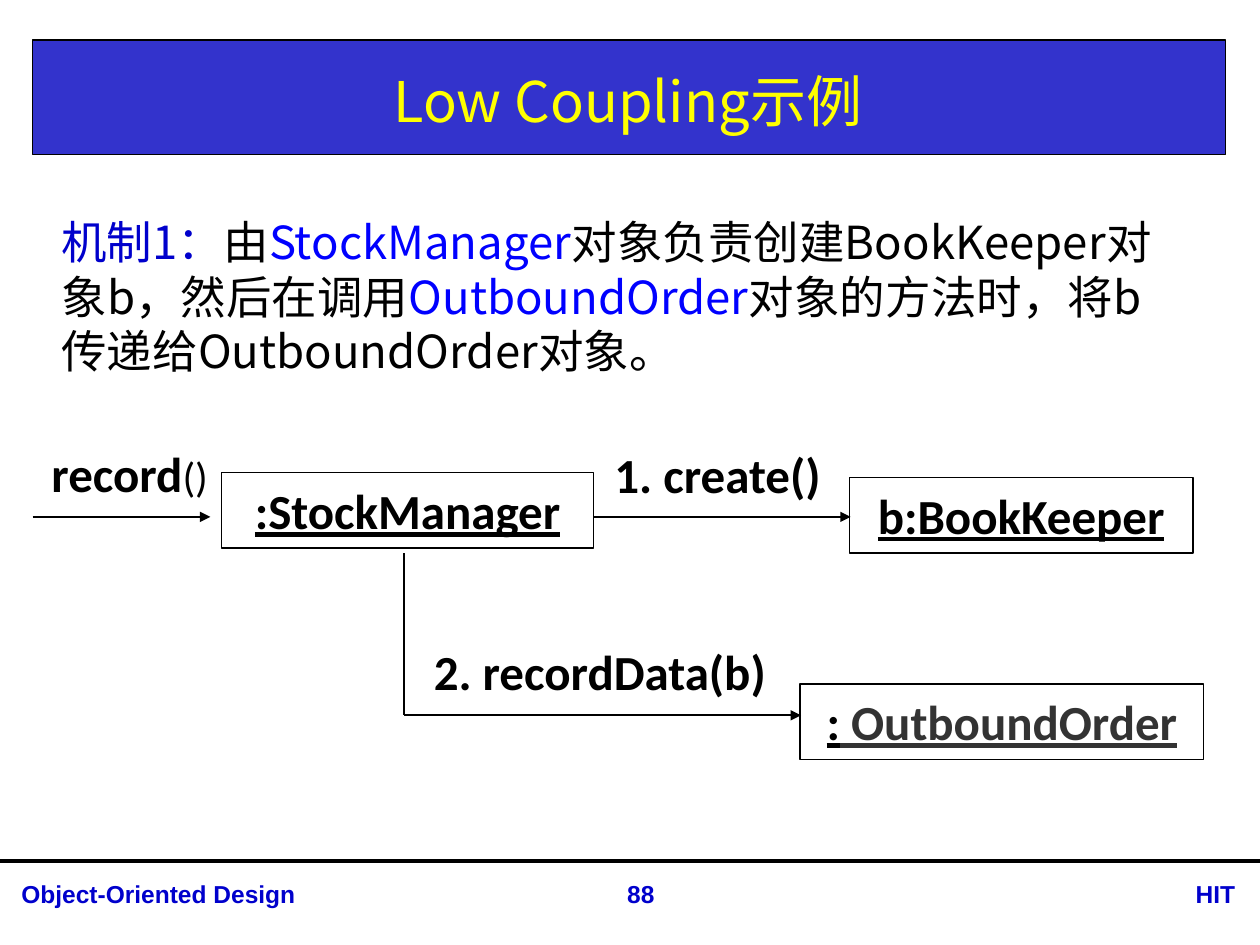
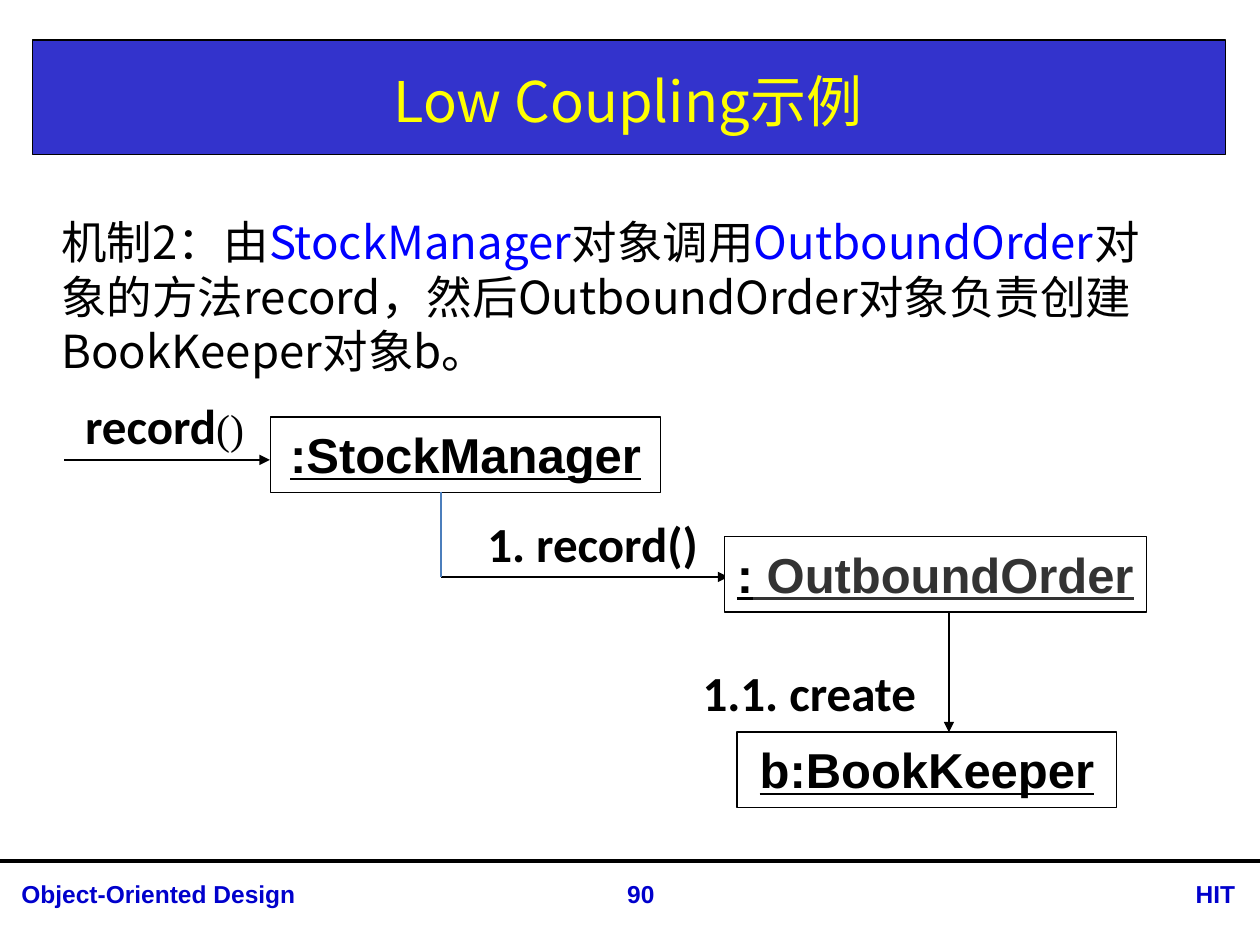
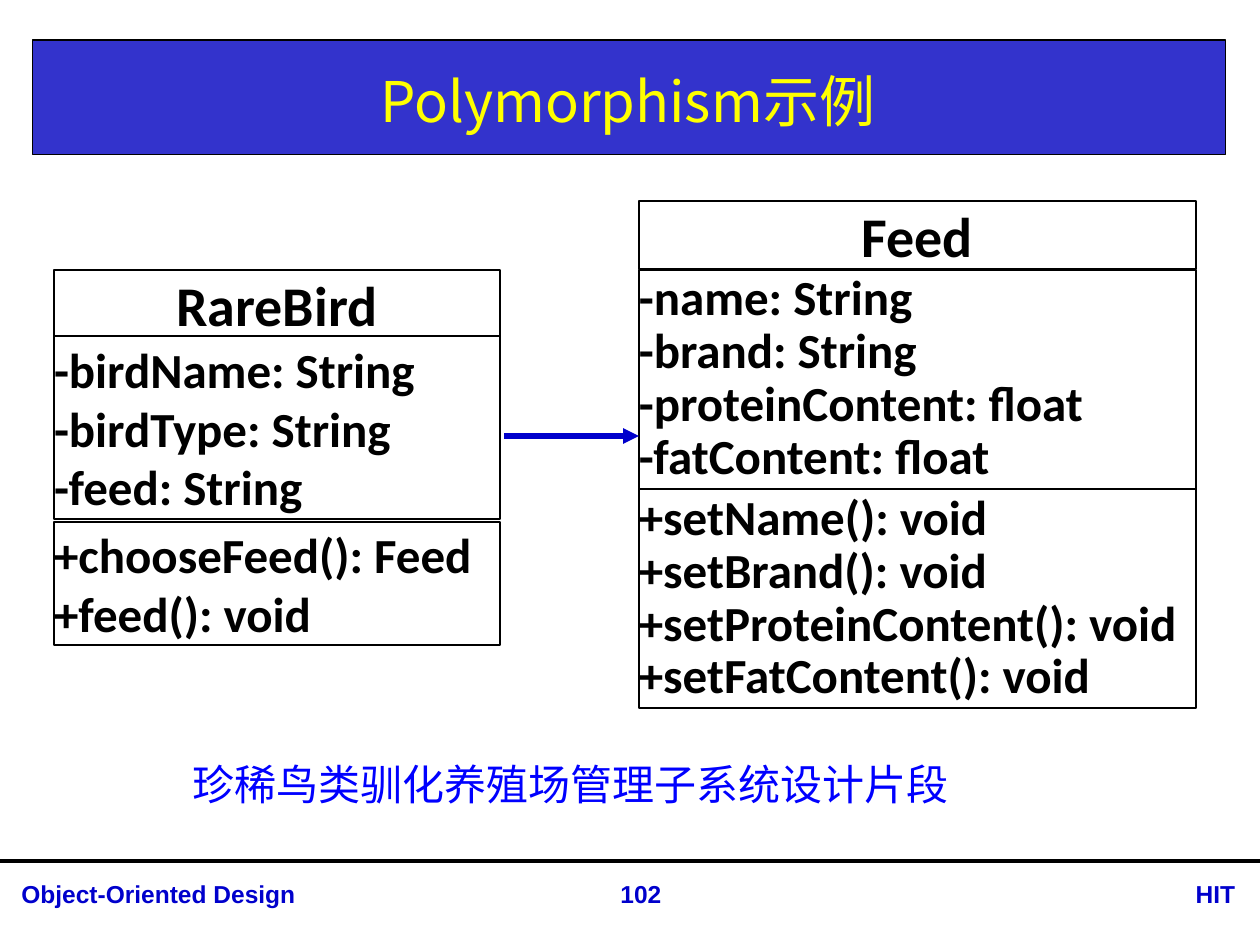
from lxml.etree import SubElement
from pptx import Presentation
from pptx.dml.color import RGBColor
from pptx.enum.shapes import MSO_CONNECTOR, MSO_SHAPE
from pptx.enum.text import MSO_ANCHOR, PP_ALIGN
from pptx.oxml.ns import qn
from pptx.util import Cm, Pt

COLORS = {
    "band": "3333CC",
    "title": "FFFF00",
    "accent": "0000CC",
    "highlight": "0000FF",
    "text": "000000",
    "muted": "333333",
    "thin_line": "4B7EBC",
    "paper": "FFFFFF",
}
CJK = "Noto Sans CJK SC"
LATIN = "Calibri"
FOOTER_FONT = "Arial"
SLIDE_WIDTH = 25.4
SLIDE_HEIGHT = 19.05
OBJECT_HEIGHT = 1.52
LABEL_HEIGHT = 1.19


def color(name):
    return RGBColor.from_string(COLORS[name])


def style_run(font, size=None, name=None, ink=None, bold=None):
    if size is not None:
        font.size = Pt(size)
    if name is not None:
        font.name = name
    if ink is not None:
        font.color.rgb = color(ink)
    if bold is not None:
        font.bold = bold


def write_paragraph(paragraph, runs, size, name=LATIN, ink="text", bold=False,
                    underline=False, align=PP_ALIGN.LEFT, spacing=None):
    paragraph.alignment = align
    if spacing is not None:
        paragraph.line_spacing = spacing
    style_run(paragraph.font, size, name, ink, bold)
    paragraph.font.underline = underline
    properties = paragraph._p.pPr.find(qn("a:defRPr"))
    SubElement(properties, qn("a:ea")).set("typeface", name)
    for text, changes in runs:
        run = paragraph.add_run()
        run.text = text
        style_run(run.font, **changes)


def set_frame(frame, anchor, horizontal, top, bottom, wrap=True):
    frame.word_wrap = wrap
    frame.vertical_anchor = anchor
    frame.margin_left = frame.margin_right = Cm(horizontal)
    frame.margin_top = Cm(top)
    frame.margin_bottom = Cm(bottom)


def add_text(slide, left, top, width, height, runs, size, anchor=MSO_ANCHOR.TOP,
             inset=(0.25, 0.13, 0.13), wrap=True, **style):
    box = slide.shapes.add_textbox(Cm(left), Cm(top), Cm(width), Cm(height))
    set_frame(box.text_frame, anchor, *inset, wrap=wrap)
    write_paragraph(box.text_frame.paragraphs[0], runs, size, **style)


def add_rectangle(slide, left, top, width, height, fill="paper", line_width=0.75):
    shape = slide.shapes.add_shape(
        MSO_SHAPE.RECTANGLE, Cm(left), Cm(top), Cm(width), Cm(height))
    shape.shadow.inherit = False
    shape.fill.solid()
    shape.fill.fore_color.rgb = color(fill)
    shape.line.color.rgb = color("text")
    shape.line.width = Pt(line_width)
    return shape


def add_line(slide, start, end, width=1, ink="text", arrow=True):
    connector = slide.shapes.add_connector(
        MSO_CONNECTOR.STRAIGHT, *(Cm(value) for value in (*start, *end)))
    connector.line.color.rgb = color(ink)
    connector.line.width = Pt(width)
    if arrow:
        SubElement(connector.line._get_or_add_ln(), qn("a:tailEnd")).set("type", "triangle")
    SubElement(connector._element.spPr, qn("a:effectLst"))


def add_object(slide, left, top, width, runs, font=LATIN):
    shape = add_rectangle(slide, left, top, width, OBJECT_HEIGHT)
    set_frame(shape.text_frame, MSO_ANCHOR.MIDDLE, 0, 0.15, 0.18)
    write_paragraph(shape.text_frame.paragraphs[0], runs, 28, font, bold=True,
                    underline=True, align=PP_ALIGN.CENTER)


def add_label(slide, left, top, width, runs):
    add_text(slide, left, top, width, LABEL_HEIGHT, runs, 28, inset=(0, 0, 0),
             bold=True, align=PP_ALIGN.CENTER)


def add_class(slide, left, width, name, sections, spacing=None):
    top, height, text = name
    heading = add_rectangle(slide, left, top, width, height, line_width=1)
    set_frame(heading.text_frame, MSO_ANCHOR.MIDDLE, 0, 0, 0)
    write_paragraph(heading.text_frame.paragraphs[0], plain(text), 32, bold=True,
                    align=PP_ALIGN.CENTER)
    for top, height, members in sections:
        section = add_rectangle(slide, left, top, width, height, line_width=1)
        frame = section.text_frame
        set_frame(frame, MSO_ANCHOR.MIDDLE, 0, 0.05, 0.05)
        for index, member in enumerate(members):
            paragraph = frame.add_paragraph() if index else frame.paragraphs[0]
            write_paragraph(paragraph, plain(member), 28, bold=True,
                            align=PP_ALIGN.JUSTIFY, spacing=spacing)


def plain(text):
    return [(text, {})]


def highlighted(text):
    return text, {"ink": "highlight"}


def order_name():
    return [(":", {}), (" OutboundOrder", {"ink": "muted"})]


def record_call(font=LATIN):
    return [("record", {}), ("()", {"size": 24, "name": font, "bold": False})]


def add_base_slide(presentation, title, number):
    slide = presentation.slides.add_slide(presentation.slide_layouts[6])
    add_rectangle(slide, 0.66, 0.81, 24.05, 2.31, "band")
    add_line(slide, (0, 17.35), (SLIDE_WIDTH, 17.35), 2.25, arrow=False)
    footers = [
        (0.18, 11.76, "Object-Oriented Design", PP_ALIGN.LEFT),
        (22.53, 2.62, "HIT", PP_ALIGN.RIGHT),
        (11.61, 2.62, str(number), PP_ALIGN.CENTER),
    ]
    for left, width, text, align in footers:
        add_text(slide, left, 17.6, width, 0.86, plain(text), 14, name=FOOTER_FONT,
                 ink="accent", bold=True, align=align)
    add_text(slide, 0.66, 0.91, 24, 2.21, plain(title), 32, MSO_ANCHOR.MIDDLE,
             name=CJK, ink="title", align=PP_ALIGN.CENTER)
    return slide


def add_mechanism(slide, runs):
    add_text(slide, 0.99, 4.19, 22.83, 3.58, runs, 26, name=CJK)


def build_first_mechanism(presentation):
    slide = add_base_slide(presentation, "Low Coupling示例", 88)
    add_mechanism(slide, [
        ("机制1：", {"ink": "accent"}),
        ("由", {}),
        highlighted("StockManager"),
        ("对象负责创建BookKeeper对象b，然后在调用", {}),
        highlighted("OutboundOrder"),
        ("对象的方法时，将b传递给OutboundOrder对象。", {}),
    ])
    add_object(slide, 17.12, 9.63, 6.93, plain("b:BookKeeper"))
    add_object(slide, 4.47, 9.53, 7.49, plain(":StockManager"))
    add_object(slide, 16.13, 13.79, 8.13, order_name())
    add_line(slide, (0.66, 10.42), (4.24, 10.42))
    add_line(slide, (11.96, 10.42), (17.15, 10.42))
    add_line(slide, (8.15, 11.15), (8.15, 14.42), arrow=False)
    add_line(slide, (8.15, 14.42), (16.15, 14.42))
    add_label(slide, 0.99, 8.94, 3.25, record_call())
    add_label(slide, 12.27, 8.97, 4.39, plain("1. create()"))
    add_label(slide, 8.46, 12.93, 7.26, plain("2. recordData(b)"))


def build_second_mechanism(presentation):
    slide = add_base_slide(presentation, "Low Coupling示例", 90)
    add_mechanism(slide, [
        ("机制2：由", {}),
        highlighted("StockManager"),
        ("对象调用", {}),
        highlighted("OutboundOrder"),
        ("对象的方法record，然后OutboundOrder对象负责创建BookKeeper对象b。", {}),
    ])
    add_line(slide, (8.89, 11.63), (14.68, 11.63))
    add_object(slide, 14.86, 14.76, 7.65, plain("b:BookKeeper"), "Arial")
    add_object(slide, 5.46, 8.41, 7.85, plain(":StockManager"), "Arial")
    add_object(slide, 14.6, 10.82, 8.51, order_name(), "Arial")
    add_line(slide, (19.13, 12.34), (19.13, 14.76))
    add_line(slide, (1.3, 9.27), (5.44, 9.27))
    add_line(slide, (8.89, 9.91), (8.89, 11.63), 0.75, "thin_line", arrow=False)
    add_label(slide, 1.68, 7.98, 3.28, record_call("Times New Roman"))
    add_label(slide, 9.8, 10.36, 4.29, plain("1. record()"))
    add_label(slide, 13.94, 13.36, 4.75, plain("1.1. create"))


def build_polymorphism(presentation):
    slide = add_base_slide(presentation, "Polymorphism示例", 102)
    add_class(slide, 1.09, 8.99, (5.44, 1.37, "RareBird"), [
        (6.78, 3.68, ["-birdName: String", "-birdType: String", "-feed: String"]),
        (10.52, 2.49, ["+chooseFeed(): Feed", "+feed(): void"]),
    ])
    add_class(slide, 12.88, 11.23, (4.06, 1.37, "Feed"), [
        (5.44, 4.42, ["-name: String", "-brand: String",
                      "-proteinContent: float", "-fatContent: float"]),
        (9.86, 4.42, ["+setName(): void", "+setBrand(): void",
                      "+setProteinContent(): void", "+setFatContent(): void"]),
    ], spacing=0.9)
    add_line(slide, (10.16, 8.79), (12.88, 8.79), 3, "accent")
    add_text(slide, 3.56, 15.16, 15.9, 1.27, plain("珍稀鸟类驯化养殖场管理子系统设计片段"), 24,
             MSO_ANCHOR.MIDDLE, wrap=False, name=CJK, ink="highlight",
             align=PP_ALIGN.CENTER)


def main():
    presentation = Presentation()
    presentation.slide_width = Cm(SLIDE_WIDTH)
    presentation.slide_height = Cm(SLIDE_HEIGHT)
    build_first_mechanism(presentation)
    build_second_mechanism(presentation)
    build_polymorphism(presentation)
    presentation.save("out.pptx")


if __name__ == "__main__":
    main()
